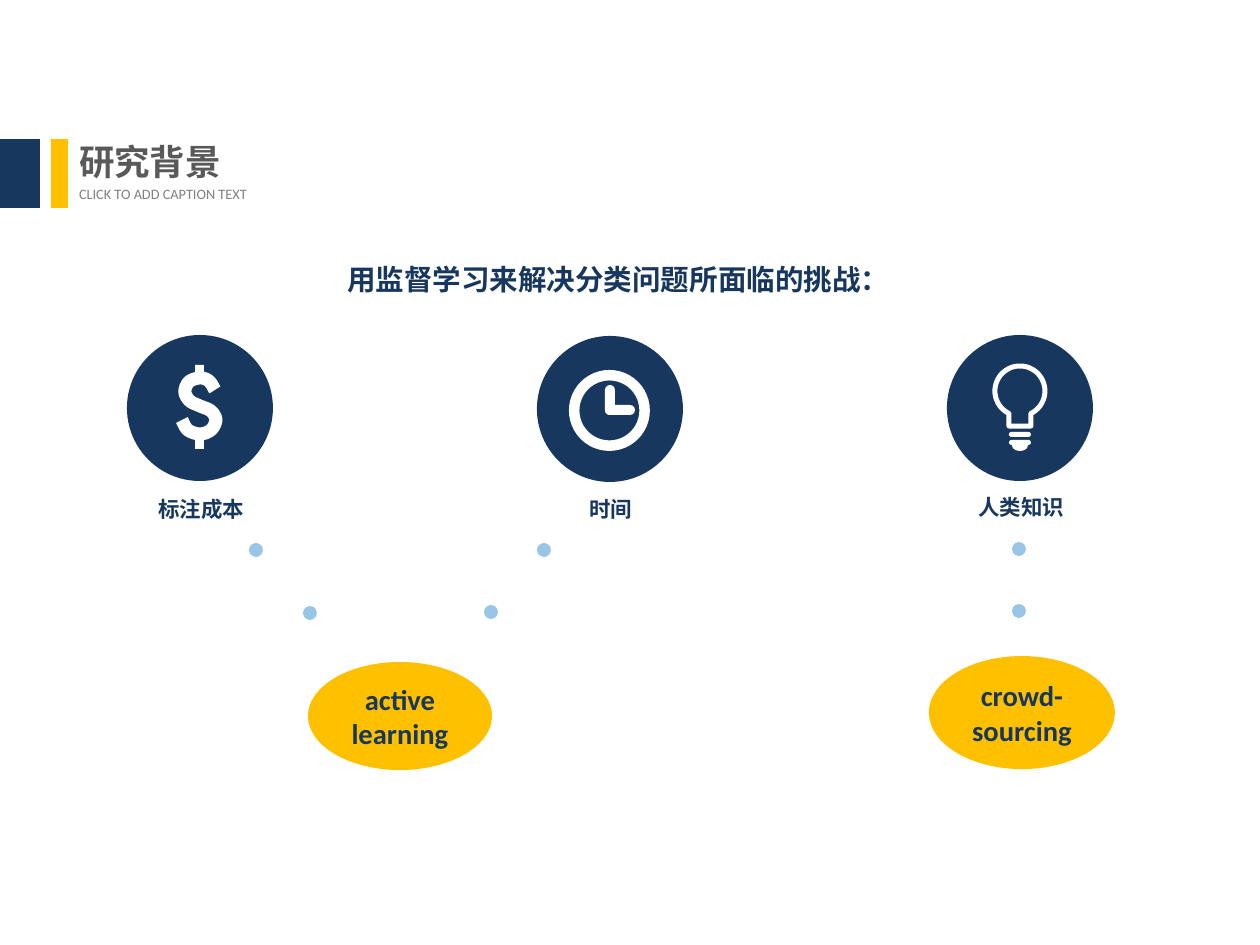
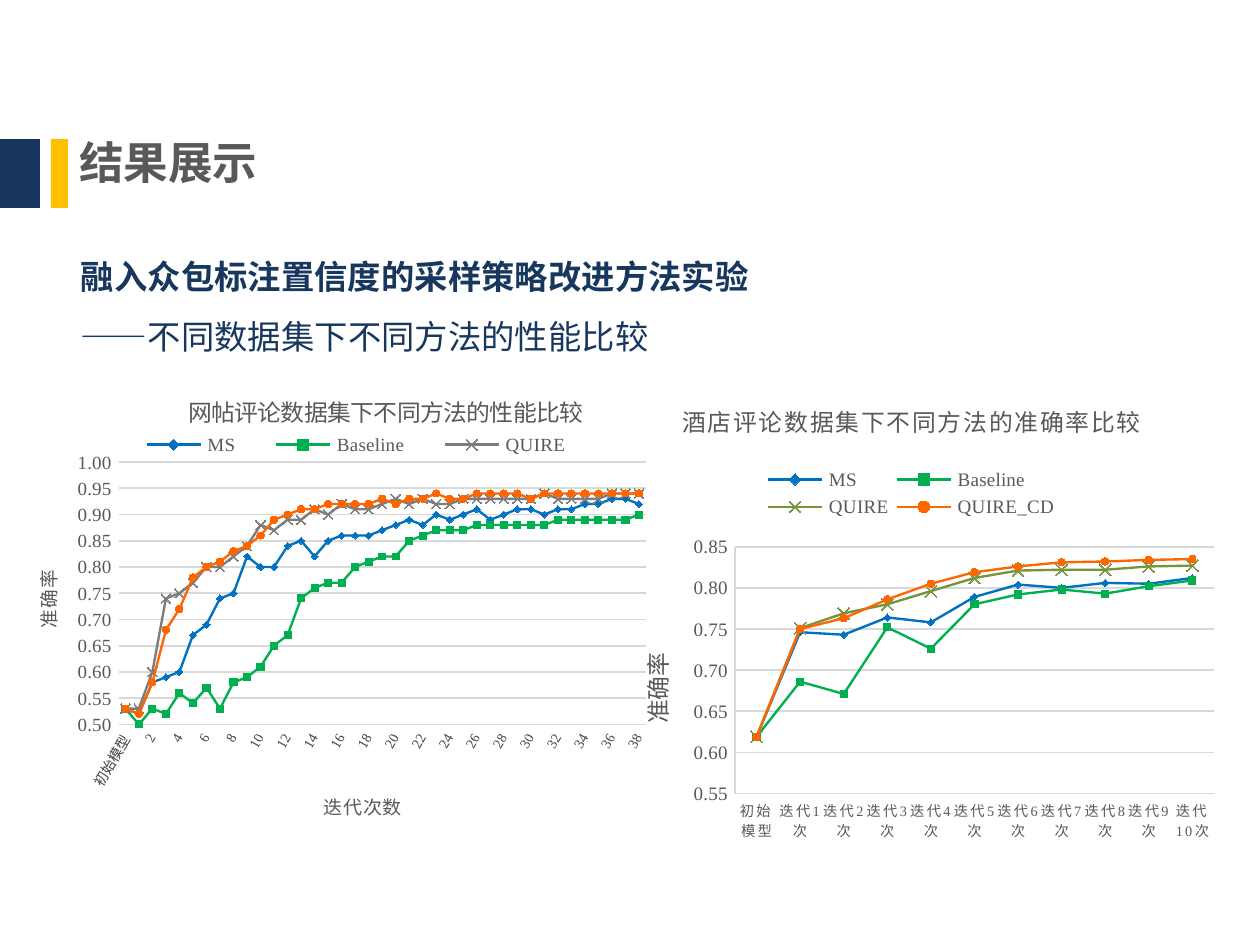
import math

import pptx
import pptx.chart.data
import pptx.dml.color
import pptx.enum.chart
import pptx.enum.shapes
import pptx.enum.text
import pptx.oxml
import pptx.oxml.ns
import pptx.util

RGBColor = pptx.dml.color.RGBColor
NAVY = RGBColor(0x17, 0x37, 0x5E)
GOLD = RGBColor(0xFF, 0xC0, 0x00)
WHITE = RGBColor(0xFF, 0xFF, 0xFF)
DARK_GREY = RGBColor(0x59, 0x59, 0x59)
CAPTION_GREY = RGBColor(0x80, 0x80, 0x80)
GRID_GREY = RGBColor(0xD9, 0xD9, 0xD9)
LIGHT_BLUE = RGBColor(0x99, 0xC6, 0xE6)
BLUE = RGBColor(0x00, 0x70, 0xC0)
GREEN = RGBColor(0x00, 0xB0, 0x50)
GREY = RGBColor(0x7C, 0x7C, 0x7C)
OLIVE = RGBColor(0x77, 0x93, 0x3C)
ORANGE = RGBColor(0xFF, 0x66, 0x00)

LATIN, CHINESE, SERIF = "Calibri", "Noto Sans CJK SC", "Times New Roman"
SHAPE = pptx.enum.shapes.MSO_SHAPE
ALIGN = pptx.enum.text.PP_ALIGN
MIDDLE = pptx.enum.text.MSO_ANCHOR.MIDDLE
MARKER = pptx.enum.chart.XL_MARKER_STYLE
NO_TICKS = pptx.enum.chart.XL_TICK_MARK.NONE
EMU_PER_PX = 5335

WEB_CATEGORIES = ["初始模型"] + [str(number) for number in range(1, 39)]
WEB_VALUES = {
    "MS": [0.53, 0.52, 0.58, 0.59, 0.6, 0.67, 0.69, 0.74, 0.75, 0.82, 0.8, 0.8, 0.84,
           0.85, 0.82, 0.85, 0.86, 0.86, 0.86, 0.87, 0.88, 0.89, 0.88, 0.9, 0.89, 0.9,
           0.91, 0.89, 0.9, 0.91, 0.91, 0.9, 0.91, 0.91, 0.92, 0.92, 0.93, 0.93, 0.92],
    "Baseline": [0.53, 0.5, 0.53, 0.52, 0.56, 0.54, 0.57, 0.53, 0.58, 0.59, 0.61, 0.65, 0.67,
                 0.74, 0.76, 0.77, 0.77, 0.8, 0.81, 0.82, 0.82, 0.85, 0.86, 0.87, 0.87, 0.87,
                 0.88, 0.88, 0.88, 0.88, 0.88, 0.88, 0.89, 0.89, 0.89, 0.89, 0.89, 0.89, 0.9],
    "QUIRE": [0.53, 0.53, 0.6, 0.74, 0.75, 0.77, 0.8, 0.8, 0.82, 0.84, 0.88, 0.87, 0.89,
              0.89, 0.91, 0.9, 0.92, 0.91, 0.91, 0.92, 0.93, 0.92, 0.93, 0.92, 0.92, 0.93,
              0.93, 0.93, 0.93, 0.93, 0.93, 0.94, 0.93, 0.93, 0.93, 0.93, 0.94, 0.94, 0.94],
    "QUIRE_CD": [0.53, 0.52, 0.58, 0.68, 0.72, 0.78, 0.8, 0.81, 0.83, 0.84, 0.86, 0.89, 0.9,
                 0.91, 0.91, 0.92, 0.92, 0.92, 0.92, 0.93, 0.92, 0.93, 0.93, 0.94, 0.93, 0.93,
                 0.94, 0.94, 0.94, 0.94, 0.93, 0.94, 0.94, 0.94, 0.94, 0.94, 0.94, 0.94, 0.94],
}
HOTEL_CATEGORIES = ["初始模型"] + [f"迭代{number}次" for number in range(1, 11)]
HOTEL_VALUES = {
    "MS": [0.619, 0.746, 0.743, 0.764, 0.758, 0.789, 0.804, 0.8, 0.806, 0.805, 0.812],
    "Baseline": [0.619, 0.686, 0.671, 0.752, 0.726, 0.78, 0.792, 0.798, 0.793, 0.802, 0.809],
    "QUIRE": [0.619, 0.751, 0.769, 0.78, 0.796, 0.812, 0.821, 0.822, 0.822, 0.826, 0.827],
    "QUIRE_CD": [0.619, 0.75, 0.763, 0.786, 0.805, 0.819, 0.826, 0.831, 0.832, 0.834, 0.835],
}


def px(value):
    return pptx.util.Emu(round(value * EMU_PER_PX))


def style_font(font, size, color, name=LATIN, bold=False):
    font.size, font.name, font.bold = pptx.util.Pt(size), name, bold
    font.color.rgb = color


def add_shape(slide, kind, box, color):
    shape = slide.shapes.add_shape(kind, *map(px, box))
    shape.shadow.inherit = False
    shape.fill.solid()
    shape.fill.fore_color.rgb = color
    shape.line.fill.background()
    return shape


def add_text(slide, box, lines, size, color, name=LATIN, bold=True,
             align=ALIGN.LEFT, spacing=1.0, margins=(0, 0)):
    frame = slide.shapes.add_textbox(*map(px, box)).text_frame
    frame.word_wrap = True
    frame.vertical_anchor = MIDDLE
    frame.margin_left = frame.margin_right = px(margins[0])
    frame.margin_top = frame.margin_bottom = px(margins[1])
    frame.text = "\n".join(lines)
    for paragraph in frame.paragraphs:
        paragraph.alignment, paragraph.line_spacing = align, spacing
        style_font(paragraph.font, size, color, name, bold)
    return frame


def add_stroke(slide, points, width, close):
    """White outline through the given points."""
    corners = [(px(x), px(y)) for x, y in points]
    builder = slide.shapes.build_freeform(*corners[0])
    builder.add_line_segments(corners[1:], close=close)
    shape = builder.convert_to_shape()
    shape.shadow.inherit = False
    shape.fill.background()
    shape.line.color.rgb = WHITE
    shape.line.width = px(width)


def smooth_curve(points, steps=8):
    """Catmull-Rom curve through the points."""
    padded = [points[0], *points, points[-1]]
    curve = [points[0]]
    for a, b, c, d in zip(padded, padded[1:], padded[2:], padded[3:]):
        for step in range(1, steps + 1):
            t = step / steps
            curve.append(tuple(
                0.5 * (2 * q + (r - p) * t + (2 * p - 5 * q + 4 * r - s) * t ** 2
                       + (3 * q - p - 3 * r + s) * t ** 3)
                for p, q, r, s in zip(a, b, c, d)))
    return curve


def add_header(slide, title, size, top, height):
    add_shape(slide, SHAPE.RECTANGLE, (0, 139, 40, 69), NAVY)
    add_shape(slide, SHAPE.RECTANGLE, (51, 139, 17, 69), GOLD)
    add_text(slide, (79, top, 226, height), [title], size, DARK_GREY)


# Icons
def add_dollar(slide):
    for top in (365, 437):
        add_shape(slide, SHAPE.RECTANGLE, (195, top, 9, 12), WHITE)
    centre_line = [(215, 390), (209, 381), (200, 378), (189, 382), (185, 392), (190, 401),
                   (200, 406), (211, 411), (216, 420), (211, 430), (200, 434), (188, 430),
                   (182, 420)]
    add_stroke(slide, smooth_curve(centre_line), 13, close=False)


def add_clock(slide):
    ring = add_shape(slide, SHAPE.DONUT, (569, 370, 81, 81), WHITE)
    ring.adjustments[0] = 0.13
    for hand_box in ((605, 385, 10, 30), (605, 405, 30, 10)):
        hand = add_shape(slide, SHAPE.ROUNDED_RECTANGLE, hand_box, WHITE)
        hand.adjustments[0] = 0.5


def add_bulb(slide):
    arc = [(1020 + 25 * math.cos(math.radians(angle)), 391 + 25 * math.sin(math.radians(angle)))
           for angle in range(116, 425, 4)]
    add_stroke(slide, arc + [(1031, 426), (1009, 426)], 5, close=True)
    for top in (432, 440):
        bar = add_shape(slide, SHAPE.ROUNDED_RECTANGLE, (1009, top, 22, 5), WHITE)
        bar.adjustments[0] = 0.5
    add_shape(slide, SHAPE.OVAL, (1012, 440, 16, 11), WHITE)


def add_method(slide, box, lines):
    add_shape(slide, SHAPE.OVAL, box, GOLD)
    add_text(slide, box, lines, 12, NAVY, align=ALIGN.CENTER)


# Chart helpers
def set_layout(parent, x, y, w=None, h=None):
    """Place a chart part by fractions of the chart area."""
    qn = pptx.oxml.ns.qn
    for layout in parent.findall(qn("c:layout")):
        parent.remove(layout)
    target = '<c:layoutTarget val="inner"/>' if parent.tag == qn("c:plotArea") else ""
    size = f'<c:w val="{w}"/><c:h val="{h}"/>' if w else ""
    layout = pptx.oxml.parse_xml(
        f'<c:layout {pptx.oxml.ns.nsdecls("c")}><c:manualLayout>{target}'
        f'<c:xMode val="edge"/><c:yMode val="edge"/><c:x val="{x}"/><c:y val="{y}"/>{size}'
        '</c:manualLayout></c:layout>')
    leading = {qn("c:tx"), qn("c:legendPos"), qn("c:legendEntry")}
    parent.insert(sum(child.tag in leading for child in parent), layout)


def set_title(title, text, size, position, name=LATIN):
    title.text_frame.text = text
    style_font(title.text_frame.paragraphs[0].font, size, DARK_GREY, name)
    set_layout(title.element, *position)


def rotate_text(body, degrees):
    body.set("rot", str(degrees * 60000))
    body.set("vert", "horz")


def style_axis(axis, size, line_color):
    axis.major_tick_mark = axis.minor_tick_mark = NO_TICKS
    style_font(axis.tick_labels.font, size, DARK_GREY, SERIF)
    if line_color is None:
        axis.format.line.fill.background()
    else:
        axis.format.line.color.rgb = line_color
        axis.format.line.width = pptx.util.Pt(0.75)


def add_line_chart(slide, box, categories, values, title, title_at, plot_at, legend_at,
                   value_range, value_title_size, value_title_at, value_line, x_color, x_size):
    data = pptx.chart.data.CategoryChartData()
    data.categories = categories
    for name, numbers in values.items():
        data.add_series(name, numbers)
    chart = slide.shapes.add_chart(
        pptx.enum.chart.XL_CHART_TYPE.LINE_MARKERS, *map(px, box), data).chart
    style_font(chart.font, 10, DARK_GREY)
    chart.has_title = True
    set_title(chart.chart_title, title, 10, title_at)
    set_layout(chart.element.xpath("c:chart/c:plotArea")[0], *plot_at)

    # Legend
    chart.has_legend = True
    chart.legend.position = pptx.enum.chart.XL_LEGEND_POSITION.TOP
    chart.legend.include_in_layout = False
    style_font(chart.legend.font, 8, DARK_GREY, SERIF)
    set_layout(chart.element.xpath("c:chart/c:legend")[0], *legend_at)

    # Axes
    style_axis(chart.category_axis, 6, GRID_GREY)
    axis = chart.value_axis
    style_axis(axis, 8, value_line)
    axis.minimum_scale, axis.maximum_scale = value_range
    axis.major_unit = 0.05
    axis.tick_labels.number_format = "0.00"
    axis.tick_labels.number_format_is_linked = False
    axis.major_gridlines.format.line.color.rgb = GRID_GREY
    axis.major_gridlines.format.line.width = pptx.util.Pt(0.75)
    set_title(axis.axis_title, "准确率", value_title_size, value_title_at, SERIF)
    rotate_text(axis.axis_title.element.xpath(".//a:bodyPr")[0], -90)

    # Series
    looks = [(BLUE, MARKER.DIAMOND, 3), (GREEN, MARKER.SQUARE, 3),
             (x_color, MARKER.X, x_size), (ORANGE, MARKER.CIRCLE, 3)]
    chart.plots[0].vary_by_categories = False
    for series, (color, marker, size) in zip(chart.plots[0].series, looks):
        series.smooth = False
        series.format.line.color.rgb = color
        series.format.line.width = pptx.util.Pt(1)
        series.marker.style, series.marker.size = marker, size
        series.marker.format.line.color.rgb = color
        if marker == MARKER.X:
            series.marker.format.fill.background()
        else:
            series.marker.format.fill.solid()
            series.marker.format.fill.fore_color.rgb = color
    return chart


def build_background_slide(slide):
    add_header(slide, "研究背景", 14.9, 140, 43)
    add_text(slide, (79, 185, 226, 18), ["CLICK TO ADD CAPTION TEXT"], 6, CAPTION_GREY, bold=False)

    # Challenges
    label_style = dict(color=NAVY, name=CHINESE, align=ALIGN.CENTER, spacing=1.5, margins=(12, 7))
    add_text(slide, (334, 238, 569, 65), ["用监督学习来解决分类问题所面临的挑战："], 12, **label_style)
    challenges = [("标注成本", 127, 335, 477, add_dollar), ("时间", 537, 336, 477, add_clock),
                  ("人类知识", 947, 335, 475, add_bulb)]
    for label, left, top, label_top, add_icon in challenges:
        add_shape(slide, SHAPE.OVAL, (left, top, 146, 146), NAVY)
        add_icon(slide)
        add_text(slide, (left - 11, label_top, 170, 50), [label], 9, **label_style)

    # Dotted paths to the methods
    for left, top in ((249, 543), (537, 543), (303, 606), (484, 605), (1012, 604), (1012, 542)):
        add_shape(slide, SHAPE.OVAL, (left, top, 14, 14), LIGHT_BLUE)
    add_method(slide, (308, 662, 184, 108), ["active", "learning"])
    add_method(slide, (929, 656, 186, 113), ["crowd-", "sourcing"])


def build_results_slide(slide):
    add_header(slide, "结果展示", 18.7, 135, 53)
    frame = add_text(slide, (64, 227, 847, 139),
                     ["融入众包标注置信度的采样策略改进方法实验", "——不同数据集下不同方法的性能比较"],
                     14, NAVY, CHINESE, spacing=1.5, margins=(17, 9))
    frame.paragraphs[1].font.bold = False

    # Web comments: slanted labels, every second one
    chart = add_line_chart(
        slide, (21, 379, 651, 446), WEB_CATEGORIES, WEB_VALUES,
        "网帖评论数据集下不同方法的性能比较", (0.25, 0.02), (0.15, 0.19, 0.81, 0.6),
        (0.14, 0.12, 0.75, 0.06), (0.5, 1), 8, (0.01, 0.43), None, GREY, 4)
    set_title(chart.category_axis.axis_title, "迭代次数", 8, (0.46, 0.93))
    rotate_text(chart.element.xpath(".//c:catAx/c:txPr/a:bodyPr")[0], -60)
    namespace = pptx.oxml.ns.nsdecls("c")
    chart.element.xpath(".//c:catAx/c:lblOffset")[0].addnext(
        pptx.oxml.parse_xml(f'<c:tickLblSkip {namespace} val="2"/>'))
    chart.element.xpath(".//c:legendPos")[0].addnext(pptx.oxml.parse_xml(
        f'<c:legendEntry {namespace}><c:idx val="3"/><c:delete val="1"/></c:legendEntry>'))

    # Hotel comments: widely spaced letters
    chart = add_line_chart(
        slide, (596, 379, 631, 466), HOTEL_CATEGORIES, HOTEL_VALUES,
        "酒店评论数据集下不同方法的准确率比较", (0.13, 0.04), (0.22, 0.36, 0.76, 0.53),
        (0.26, 0.18, 0.48, 0.13), (0.55, 0.85), 10, (0.06, 0.58), GRID_GREY, OLIVE, 5)
    for properties in chart.element.xpath(
            "c:chart/c:title//a:defRPr | .//c:catAx/c:txPr//a:defRPr"):
        properties.set("spc", "100")


def main():
    presentation = pptx.Presentation()
    presentation.slide_width, presentation.slide_height = px(1260), px(945)
    for build in (build_background_slide, build_results_slide):
        build(presentation.slides.add_slide(presentation.slide_layouts[6]))
    presentation.save("out.pptx")


if __name__ == "__main__":
    main()
